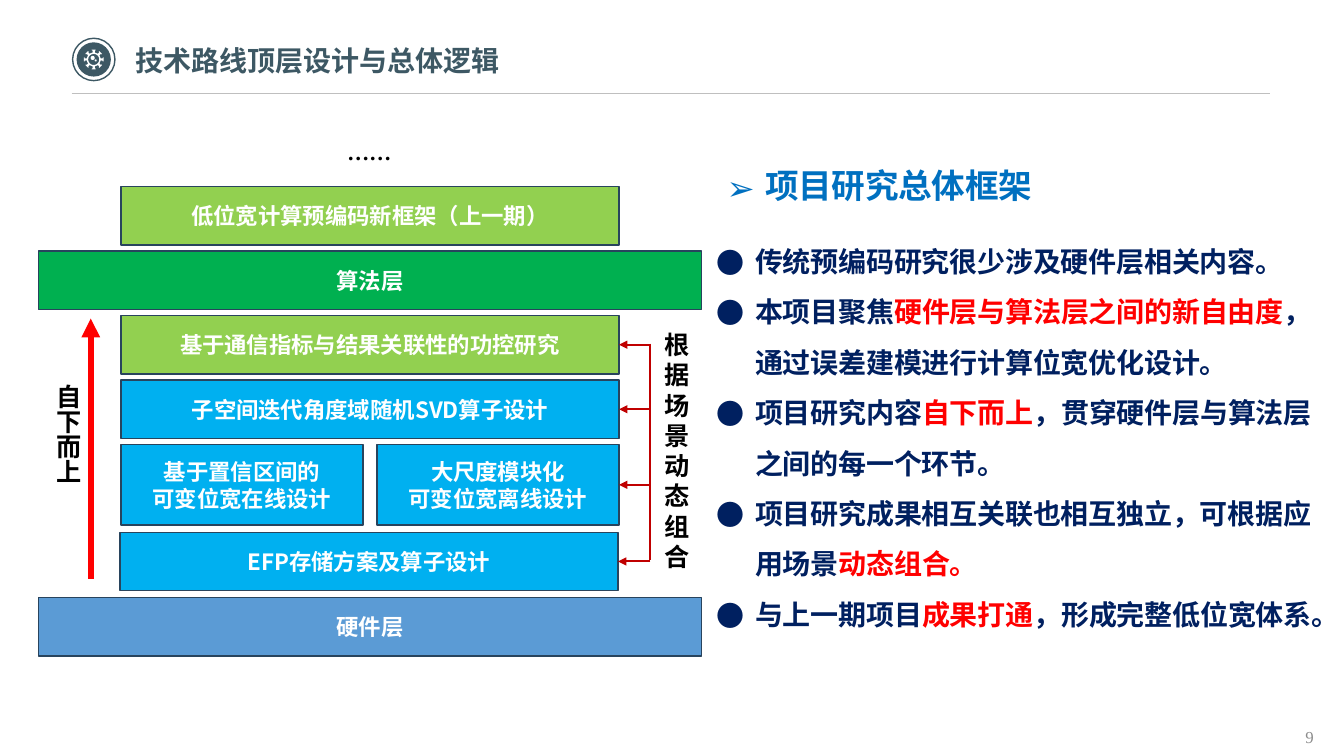
from math import cos, pi, sin

from lxml.etree import SubElement
from pptx import Presentation
from pptx.dml.color import RGBColor
from pptx.enum.shapes import MSO_CONNECTOR as Connector, MSO_SHAPE as Shape
from pptx.enum.text import MSO_ANCHOR as Anchor, MSO_AUTO_SIZE as AutoSize, PP_ALIGN as Align
from pptx.oxml.ns import qn
from pptx.util import Inches, Pt

COLORS = {
    "slate": "3D5864", "rule": "BFBFBF", "number": "8C8C8C", "white": "FFFFFF",
    "black": "000000", "heading": "0070C0", "navy": "002060", "red": "FF0000",
    "dark_red": "C00000", "border": "28445D", "steel": "5B9BD5", "sky": "00B0F0",
    "lime": "92D050", "green": "00B050",
}
FONT = "Noto Sans CJK SC"
RIGHT_SIDE = 3


def color(name):
    return RGBColor.from_string(COLORS[name])


def write(para, text, size=16, ink="black", bold=True, font=FONT, spacing=None):
    """Add a formatted span to a paragraph."""
    span = para.add_run()
    span.text = text
    span.font.size = Pt(size)
    span.font.bold = bold
    span.font.name = font
    span.font.color.rgb = color(ink)
    props = span.font._element
    SubElement(props, qn("a:ea")).set("typeface", font)
    if spacing is not None:
        props.set("spc", str(int(spacing * 100)))


def add_bullet(para, char, left):
    props = para._p.get_or_add_pPr()
    props.set("marL", str(Inches(left)))
    props.set("indent", str(Inches(-0.38)))
    SubElement(props, qn("a:buFont")).set("typeface", FONT)
    SubElement(props, qn("a:buChar")).set("char", char)
    para.line_spacing = 1.5
    para.space_before = Pt(0)


class Page:
    def __init__(self, deck):
        self.slide = deck.slides.add_slide(deck.slide_layouts[1])
        self.shapes = self.slide.shapes

    def placeholder(self, index, left, top, width, height, anchor=Anchor.TOP):
        holder = self.slide.placeholders[index]
        holder.left, holder.top = Inches(left), Inches(top)
        holder.width, holder.height = Inches(width), Inches(height)
        frame = holder.text_frame
        frame.auto_size = AutoSize.NONE
        frame.word_wrap = True
        frame.vertical_anchor = anchor
        return frame

    def text(self, left, top, width, height, lines, align=Align.LEFT, vertical=False, **style):
        box = self.shapes.add_textbox(Inches(left), Inches(top), Inches(width), Inches(height))
        self.fill_text(box.text_frame, lines, align, **style)
        if vertical:
            box.text_frame._txBody.bodyPr.set("vert", "eaVert")
        return box.text_frame

    def fill_text(self, frame, lines, align, **style):
        frame.word_wrap = True
        for number, line in enumerate(lines):
            para = frame.add_paragraph() if number else frame.paragraphs[0]
            para.alignment = align
            write(para, line, **style)

    def shape(self, kind, left, top, width, height, fill=None, line=None):
        box = self.shapes.add_shape(kind, Inches(left), Inches(top), Inches(width), Inches(height))
        self.paint(box, fill, line)
        return box

    def paint(self, box, fill, line):
        box.shadow.inherit = False
        if fill:
            box.fill.solid()
            box.fill.fore_color.rgb = color(fill)
        else:
            box.fill.background()
        if line:
            box.line.color.rgb = color(line)
            box.line.width = Pt(1)
        else:
            box.line.fill.background()

    def block(self, left, top, width, height, fill, *lines):
        box = self.shape(Shape.RECTANGLE, left, top, width, height, fill, "border")
        box.text_frame.vertical_anchor = Anchor.MIDDLE
        self.fill_text(box.text_frame, lines, Align.CENTER, ink="white")
        return box

    def line(self, start, end, ink, width, arrow=False):
        points = [Inches(value) for value in start + end]
        link = self.shapes.add_connector(Connector.STRAIGHT, *points)
        link.line.color.rgb = color(ink)
        link.line.width = Pt(width)
        if arrow:
            SubElement(link.line._get_or_add_ln(), qn("a:tailEnd")).set("type", "triangle")
        SubElement(link._element.spPr, qn("a:effectLst"))
        return link

    def outline(self, contours, fill):
        contours = [[(Inches(x), Inches(y)) for x, y in points] for points in contours]
        builder = self.shapes.build_freeform(*contours[0][0], scale=1.0)
        for number, points in enumerate(contours):
            if number:
                builder.move_to(*points[0])
            builder.add_line_segments(points[1:], close=True)
        self.paint(builder.convert_to_shape(), fill, None)


def polar(center, radius, angle):
    return center[0] + radius * cos(angle), center[1] + radius * sin(angle)


def circle(x, y, radius):
    return [polar((x, y), radius, -2 * pi * step / 24) for step in range(24)]


def gear(center):
    """Eight capped teeth around a ring, with two dots in its hole."""
    tooth = [(0.07, -0.15), (0.09, -0.12), (0.09, -0.2), (0.1, -0.2),
             (0.1, 0.2), (0.09, 0.2), (0.09, 0.12), (0.07, 0.15)]
    rim = [polar(center, radius, number * pi / 4 + offset)
           for number in range(8) for radius, offset in tooth]
    return [rim, circle(*center, 0.055), circle(0.92, 0.575, 0.02), circle(0.95, 0.6, 0.01)]


def main():
    deck = Presentation()
    deck.slide_width, deck.slide_height = Inches(13.33), Inches(7.5)
    page = Page(deck)

    # Header
    page.shape(Shape.OVAL, 0.72, 0.38, 0.42, 0.42, line="slate")
    page.shape(Shape.OVAL, 0.76, 0.42, 0.34, 0.34, fill="slate")
    page.outline(gear((0.93, 0.59)), "white")
    page.line((0.71, 0.93), (12.6, 0.93), "rule", 0.5)
    title = page.placeholder(0, 1.34, 0.38, 7.22, 0.44, Anchor.MIDDLE)
    title.margin_left = 0
    page.fill_text(title, ["技术路线顶层设计与总体逻辑"], Align.LEFT, size=20, ink="slate")
    page.text(12.85, 7.16, 0.97, 0.3, ["9"], size=12, ink="number", bold=False,
              font="Times New Roman")

    # Framework heading and list
    heading = page.text(7.11, 1.39, 3.46, 0.64, [], align=Align.JUSTIFY).paragraphs[0]
    add_bullet(heading, "➢", 0.38)
    heading.alignment = Align.JUSTIFY
    write(heading, "项目研究总体框架", size=24, ink="heading", spacing=-0.2)

    points = [
        ["传统预编码研究很少涉及硬件层相关内容。"],
        ["本项目聚焦", "硬件层与算法层之间的新自由度", "，通过误差建模进行计算位宽优化设计。"],
        ["项目研究内容", "自下而上", "，贯穿硬件层与算法层之间的每一个环节。"],
        ["项目研究成果相互关联也相互独立，可根据应用场景", "动态组合。"],
        ["与上一期项目", "成果打通", "，形成完整低位宽体系。"],
    ]
    body = page.placeholder(1, 6.51, 2.21, 6.68, 4.08)
    for number, spans in enumerate(points):
        para = body.add_paragraph() if number else body.paragraphs[0]
        para.level = 1
        add_bullet(para, "●", 0.88)
        for place, text in enumerate(spans):
            write(para, text, size=20, ink="red" if place % 2 else "navy", spacing=-0.2)

    # Layer stack, upper rows at an equal pitch
    rows = [1.85 + 0.64 * number for number in range(5)]
    left, width, height = 1.2, 4.94, 0.58
    page.text(2.17, 1.39, 3, 0.72, ["……"], align=Align.CENTER)
    page.block(left, rows[0], width, height, "lime", "低位宽计算预编码新框架（上一期）")
    page.block(0.38, rows[1], 6.58, height, "green", "算法层")
    power = page.block(left, rows[2], width, height, "lime", "基于通信指标与结果关联性的功控研究")
    operator = page.block(left, rows[3], width, height, "sky", "子空间迭代角度域随机SVD算子设计")
    page.block(left, rows[4], 2.4, 0.8, "sky", "基于置信区间的", "可变位宽在线设计")
    offline = page.block(3.74, rows[4], 2.4, 0.8, "sky", "大尺度模块化", "可变位宽离线设计")
    storage = page.block(1.19, 5.28, width, height, "sky", "EFP存储方案及算子设计")
    page.block(0.38, 5.93, 6.58, height, "steel", "硬件层")

    # Bottom-up arrow
    page.line((0.9, 5.74), (0.9, 3.16), "red", 4.5, arrow=True)
    page.text(0.26, 3.71, 0.62, 1.57, ["自下而上"], align=Align.CENTER, vertical=True, size=18)

    # Combination bracket
    bracket = 6.45
    page.line((bracket, 3.41), (bracket, 5.56), "dark_red", 1.5)
    for box in (power, operator, offline, storage):
        middle = (box.top + box.height / 2) / Inches(1)
        link = page.line((bracket, middle), (6.14, middle), "dark_red", 1.5, arrow=True)
        link.end_connect(box, RIGHT_SIDE)
    page.text(6.49, 3.22, 0.68, 2.52, ["根据场景", "动态组合"], size=18)

    deck.save("out.pptx")


if __name__ == "__main__":
    main()
